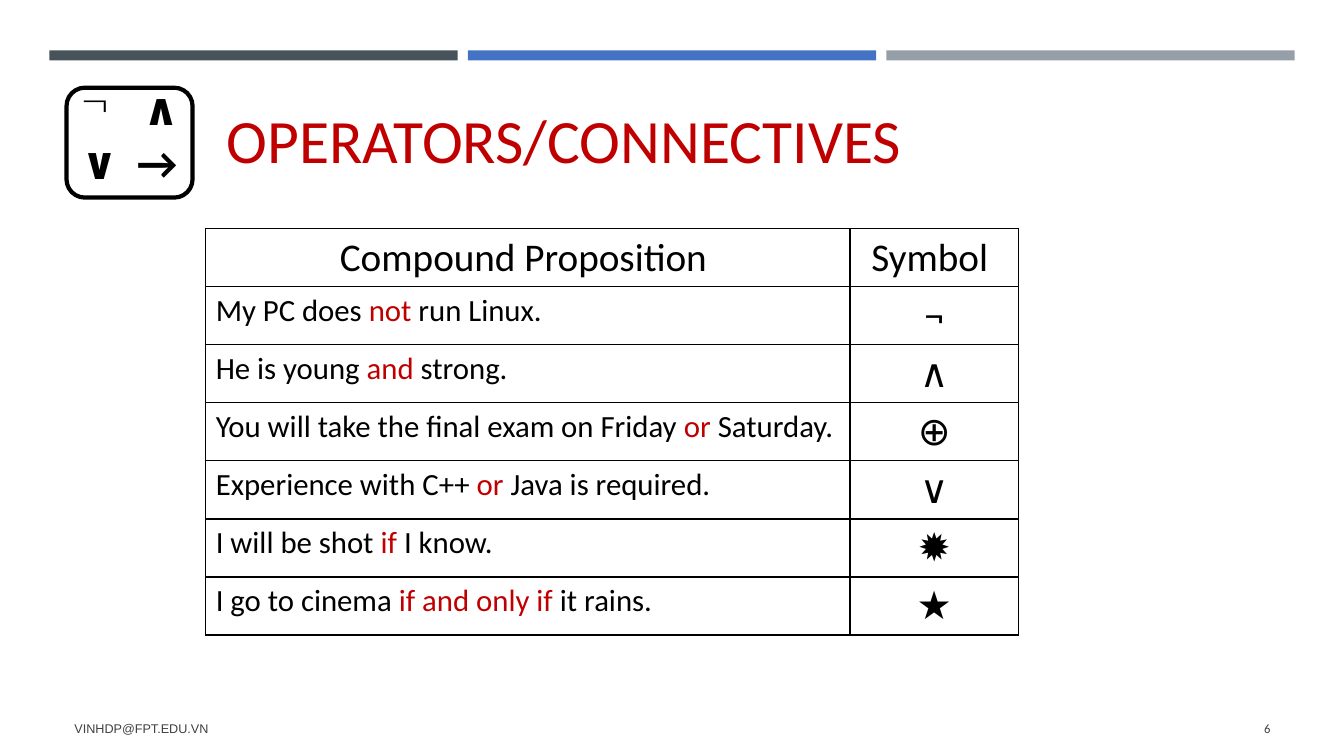
import dataclasses
import pptx
import pptx.dml.color
import pptx.enum.shapes
import pptx.enum.text
import pptx.oxml
import pptx.oxml.ns
import pptx.util
from pptx.util import Inches

RGB = pptx.dml.color.RGBColor.from_string
ALIGN = pptx.enum.text.PP_ALIGN
ANCHOR = pptx.enum.text.MSO_ANCHOR
SHAPE = pptx.enum.shapes.MSO_SHAPE


@dataclasses.dataclass(frozen=True)
class Theme:
    body_font: str = "Calibri"
    footer_font: str = "Arial"
    ink: str = "000000"
    accent: str = "C00000"
    muted: str = "404040"
    bars: tuple[str, ...] = ("465359", "4472C4", "969FA7")
    title_size: int = 44
    icon_size: int = 32
    symbol_size: int = 28
    sentence_size: int = 22
    footer_size: int = 9


@dataclasses.dataclass(frozen=True)
class Proposition:
    before: str
    connective: str
    after: str
    symbol: str


@dataclasses.dataclass(frozen=True)
class Footer:
    text: str
    left: float
    width: float
    font: str
    align: ALIGN


THEME = Theme()
PROPOSITIONS = (
    Proposition("My PC does ", "not", " run Linux.", "¬"),
    Proposition("He is young ", "and", " strong.", "∧"),
    Proposition("You will take the final exam on Friday ", "or", " Saturday.", "⊕"),
    Proposition("Experience with C++ ", "or", " Java is required.", "∨"),
    Proposition("I will be shot ", "if", " I know.", "✹"),
    Proposition("I go to cinema ", "if and only if ", "it rains.", "★"),
)
FOOTERS = (
    Footer("VINHDP@FPT.EDU.VN", 0.64, 7.56, THEME.footer_font, ALIGN.LEFT),
    Footer("6", 11.55, 1.15, THEME.body_font, ALIGN.RIGHT),
)
COLUMN_WIDTHS = (6.39, 1.67)
ROW_HEIGHT = 0.57


def set_font(paragraph, size: int, color: str = THEME.ink,
             name: str = THEME.body_font, bold: bool = False) -> None:
    font = paragraph.font
    font.size, font.name, font.bold = pptx.util.Pt(size), name, bold
    font.color.rgb = RGB(color)


def add_xml(parent, body: str) -> None:
    """Append one DrawingML element, given without its namespace declaration."""
    tag, rest = body.split(" ", 1)
    declared = f"{tag} {pptx.oxml.ns.nsdecls('a')} {rest}"
    parent.append(pptx.oxml.parse_xml(declared))


def add_bars(slide) -> None:
    for index, color in enumerate(THEME.bars):
        bar = slide.shapes.add_shape(
            SHAPE.RECTANGLE, Inches(0.49 + 4.15 * index), Inches(0.5), Inches(4.05), Inches(0.1))
        bar.shadow.inherit = False
        bar.fill.solid()
        bar.fill.fore_color.rgb = RGB(color)
        bar.line.fill.background()


def set_title(slide) -> None:
    title = slide.shapes.title
    title.left, title.top = Inches(2.15), Inches(0.49)
    title.width, title.height = Inches(8.84), Inches(1.3)
    title.text_frame.vertical_anchor = ANCHOR.BOTTOM
    title.text_frame.text = "OPERATORS/CONNECTIVES"
    heading = title.text_frame.paragraphs[0]
    heading.alignment = ALIGN.LEFT
    set_font(heading, THEME.title_size, THEME.accent)


def format_cell(cell) -> None:
    cell.fill.background()
    properties = cell._tc.get_or_add_tcPr()
    for position, side in enumerate(("lnL", "lnR", "lnT", "lnB")):
        add_xml(properties, f'<a:{side} w="12700"><a:solidFill><a:srgbClr val="{THEME.ink}"/>'
                            f'</a:solidFill></a:{side}>')
        properties.insert(position, properties[-1])


def write_symbol(cell, text: str) -> None:
    """Write centred large text, as used by the header and the symbol column."""
    cell.text = text
    paragraph = cell.text_frame.paragraphs[0]
    paragraph.alignment = ALIGN.CENTER
    set_font(paragraph, THEME.symbol_size)


def write_sentence(cell, proposition: Proposition) -> None:
    paragraph = cell.text_frame.paragraphs[0]
    set_font(paragraph, THEME.sentence_size)
    for text in (proposition.before, proposition.connective, proposition.after):
        run = paragraph.add_run()
        run.text = text
        if text == proposition.connective:
            run.font.color.rgb = RGB(THEME.accent)


def add_proposition_table(slide) -> None:
    row_count = len(PROPOSITIONS) + 1
    table = slide.shapes.add_table(
        row_count, len(COLUMN_WIDTHS), Inches(2.04), Inches(2.27),
        Inches(sum(COLUMN_WIDTHS)), Inches(ROW_HEIGHT * row_count)).table
    table.first_row = table.horz_banding = False
    for column, width in zip(table.columns, COLUMN_WIDTHS):
        column.width = Inches(width)
    for row in table.rows:
        row.height = Inches(ROW_HEIGHT)
    for cell in table.iter_cells():
        format_cell(cell)
    for column, heading in enumerate(("Compound Proposition ", "Symbol ")):
        write_symbol(table.cell(0, column), heading)
    for row, proposition in enumerate(PROPOSITIONS, start=1):
        write_sentence(table.cell(row, 0), proposition)
        write_symbol(table.cell(row, 1), proposition.symbol)


def add_operator_icon(slide) -> None:
    frame = slide.shapes.add_shape(
        SHAPE.ROUNDED_RECTANGLE, Inches(0.66), Inches(0.87), Inches(1.25), Inches(1.09))
    frame.shadow.inherit = False
    frame.fill.background()
    frame.line.color.rgb = RGB(THEME.ink)
    frame.line.width = pptx.util.Pt(3)

    operators = slide.shapes.add_textbox(
        Inches(0.71), Inches(0.75), Inches(1.2), Inches(1.18)).text_frame
    operators.word_wrap = True
    operators.text = "∧\n∨\t→"
    upper, lower = operators.paragraphs
    upper_properties = upper._p.get_or_add_pPr()
    upper_properties.set("marL", str(Inches(0.61)))
    upper_properties.set("indent", str(-Inches(0.61)))
    add_xml(upper_properties, '<a:buChar char="¬"/>')
    add_xml(lower._p.get_or_add_pPr(),
            f'<a:tabLst ><a:tab pos="{Inches(0.55)}" algn="l"/></a:tabLst>')
    for paragraph in operators.paragraphs:
        set_font(paragraph, THEME.icon_size, bold=True)


def add_footer(slide, footer: Footer) -> None:
    frame = slide.shapes.add_textbox(
        Inches(footer.left), Inches(7.03), Inches(footer.width), Inches(0.4)).text_frame
    frame.word_wrap = True
    frame.vertical_anchor = ANCHOR.MIDDLE
    frame.text = footer.text
    paragraph = frame.paragraphs[0]
    paragraph.alignment = footer.align
    set_font(paragraph, THEME.footer_size, THEME.muted, footer.font)


def main() -> None:
    deck = pptx.Presentation()
    deck.slide_width, deck.slide_height = Inches(13.33), Inches(7.5)
    slide = deck.slides.add_slide(deck.slide_layouts.get_by_name("Title Only"))
    add_bars(slide)
    set_title(slide)
    add_proposition_table(slide)
    add_operator_icon(slide)
    for footer in FOOTERS:
        add_footer(slide, footer)
    deck.save("out.pptx")


if __name__ == "__main__":
    main()
